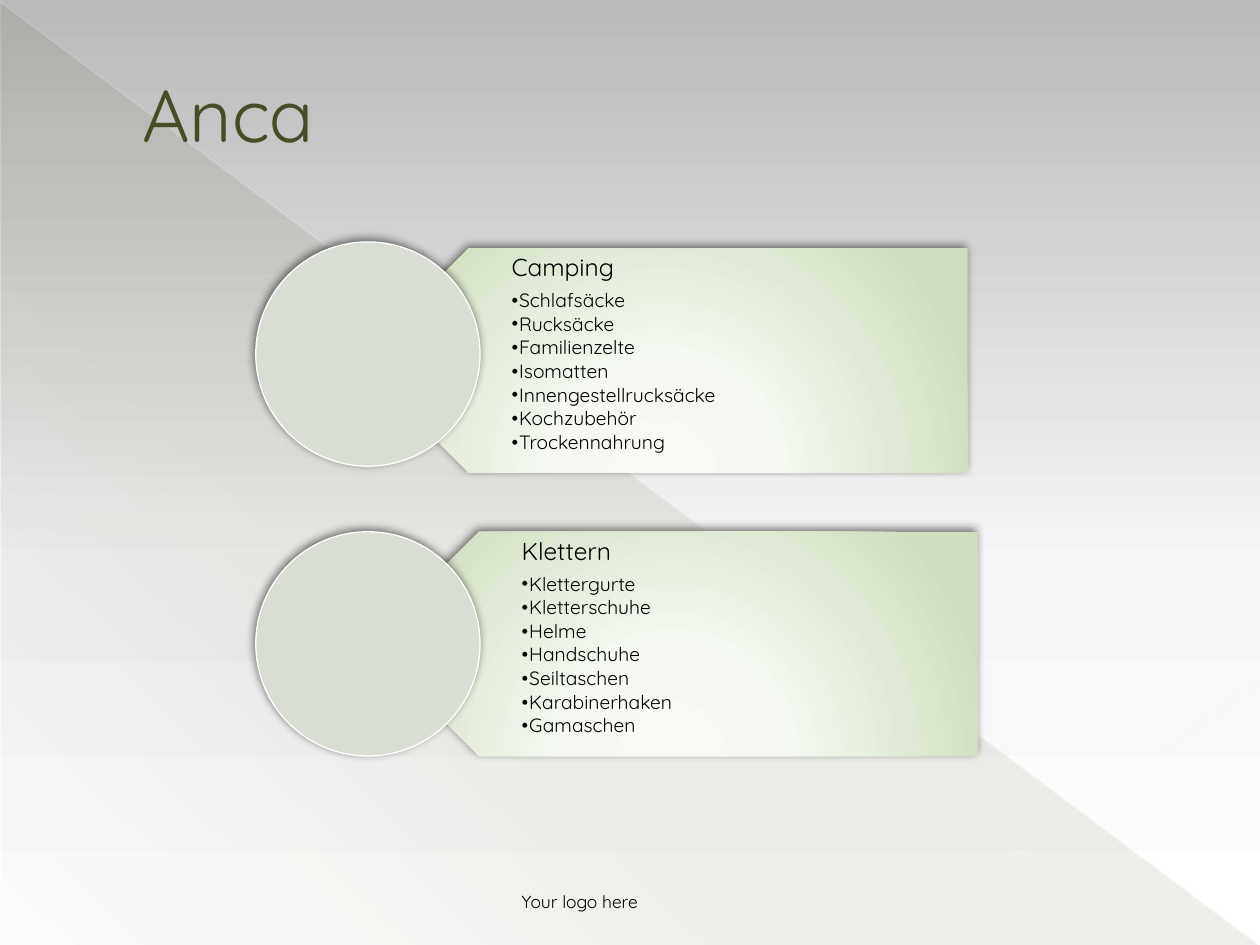
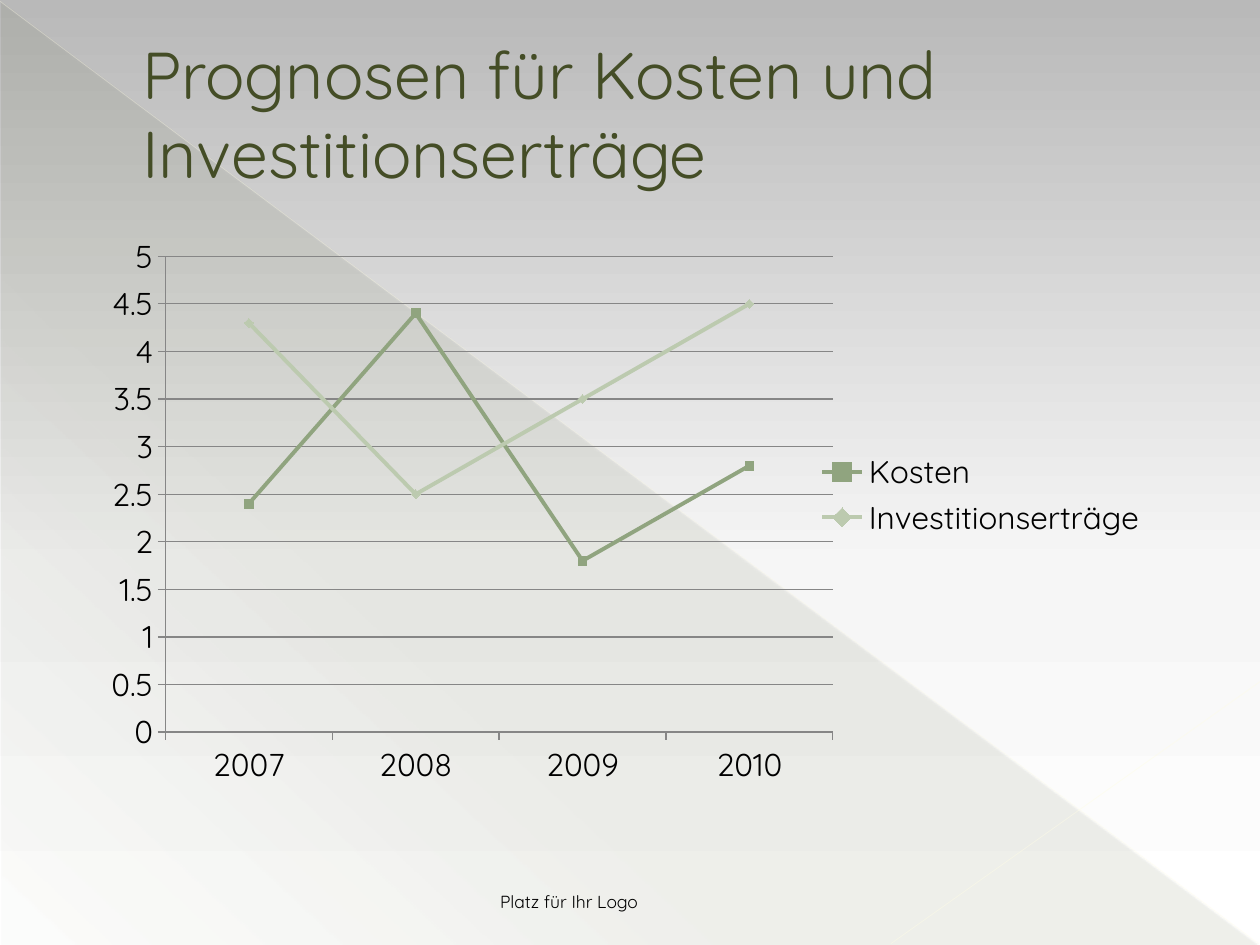
from collections import namedtuple
from dataclasses import dataclass

from lxml import etree
from pptx import Presentation
from pptx.chart.data import CategoryChartData as ChartData
from pptx.dml.color import RGBColor
from pptx.enum.chart import XL_CHART_TYPE as ChartType
from pptx.enum.chart import XL_LEGEND_POSITION as LegendPosition
from pptx.enum.chart import XL_MARKER_STYLE as Marker
from pptx.enum.chart import XL_TICK_MARK as Tick
from pptx.enum.shapes import MSO_CONNECTOR as Connector
from pptx.enum.shapes import MSO_SHAPE as Preset
from pptx.enum.text import MSO_ANCHOR as Anchor
from pptx.enum.text import PP_ALIGN as Align
from pptx.oxml import parse_xml
from pptx.oxml.ns import nsdecls, qn
from pptx.util import Inches, Pt

Box = namedtuple("Box", "left top width height")


@dataclass(frozen=True)
class Theme:
    font: str = "Quicksand"
    olive: str = "444D26"
    ink: str = "000000"
    white: str = "FFFFFF"
    disc: str = "D8DED2"
    grid: str = "868686"
    costs: str = "90A47F"
    returns: str = "BCCAAF"
    # Gradient stops: position in percent, colour, opacity in percent
    sky: tuple = ((0, "B9B9B9", 100), (60, "F6F6F6", 100), (100, "FFFFFF", 100))
    veil: tuple = ((0, "444D26", 10), (70, "444D26", 8), (100, "444D26", 1))
    plate: tuple = ((0, "F8FBF5", 100), (34, "F5F9F2", 100), (100, "D0DEBF", 100))
    title_size: float = 42
    long_title_size: float = 37.8
    footer_size: float = 10
    heading_size: float = 14
    item_size: float = 11
    chart_size: float = 18


THEME = Theme()
TITLE_BOX = Box(0.5, 0.29, 9, 1.21)
FOOTER_BOX = Box(0.5, 6.96, 4.66, 0.33)
DISC_SIZE = 1.78
PLATE_WIDTH = 4.85
TEXT_SHIFT = 0.44


# Shared helpers
def rgb(colour):
    return RGBColor.from_string(colour)


def inches(values):
    return [Inches(value) for value in values]


def apply(target, values):
    for name, value in values.items():
        setattr(target, name, value)


def style_font(font, size, colour):
    apply(font, {"name": THEME.font, "size": Pt(size)})
    font.color.rgb = rgb(colour)


def style_line(line, colour, width):
    line.color.rgb = rgb(colour)
    line.width = Pt(width)


def paint_gradient(fill, owner, stops, direction):
    """Swap a fresh solid fill in the owner element for a gradient."""
    fill.solid()
    solid = next(owner.iter(qn("a:solidFill")))
    stop_xml = "".join(
        f'<a:gs pos="{position * 1000}"><a:srgbClr val="{colour}">'
        f'<a:alpha val="{opacity * 1000}"/></a:srgbClr></a:gs>'
        for position, colour, opacity in stops)
    gradient = parse_xml(f'<a:gradFill {nsdecls("a")} rotWithShape="1">'
                         f"<a:gsLst>{stop_xml}</a:gsLst>{direction}</a:gradFill>")
    solid.getparent().replace(solid, gradient)


def linear(angle):
    return f'<a:lin ang="{angle * 60000}" scaled="0"/>'


def add_shape(page, preset, box):
    shape = page.shapes.add_shape(preset, *inches(box))
    shape.shadow.inherit = False
    shape.line.fill.background()
    return shape


def cast_shadow(shape):
    effects = next(shape.element.iter(qn("a:effectLst")))
    effects.append(parse_xml(
        f'<a:outerShdw {nsdecls("a")} blurRad="{Pt(5)}" dist="{Pt(2)}" '
        f'dir="{245 * 60000}" rotWithShape="0">'
        f'<a:srgbClr val="{THEME.ink}"><a:alpha val="50000"/></a:srgbClr>'
        "</a:outerShdw>"))


def add_frame(page, box, **values):
    frame = page.shapes.add_textbox(*inches(box)).text_frame
    apply(frame, {"word_wrap": True, **values})
    return frame


def write(para, text, size, colour, **values):
    para.text = text
    apply(para, values)
    for span in para.runs:
        style_font(span.font, size, colour)


def indent(para, left, first=0.0, bullet=None):
    properties = para._p.get_or_add_pPr()
    properties.set("marL", str(Inches(left)))
    properties.set("indent", str(Inches(first)))
    if bullet:
        etree.SubElement(properties, qn("a:buFont")).set("typeface", THEME.font)
        etree.SubElement(properties, qn("a:buChar")).set("char", bullet)


# Backdrop, title and footer
def add_hairline(page, start, end, colour, width, opacity):
    line = page.shapes.add_connector(Connector.STRAIGHT, *inches(start + end))
    style_line(line.line, colour, width)
    tint = next(line.element.iter(qn("a:srgbClr")))
    etree.SubElement(tint, qn("a:alpha")).set("val", str(opacity * 1000))
    etree.SubElement(line.element.spPr, qn("a:effectLst"))


def add_page(deck, title, title_size, footer):
    page = deck.slides.add_slide(deck.slide_layouts[6])
    triangle = add_shape(page, Preset.RIGHT_TRIANGLE, Box(0.01, 0.02, 9.98, 7.48))
    paint_gradient(triangle.fill, triangle.element, THEME.veil, linear(133))
    add_hairline(page, (0, 0.01), (9.99, 7.49), "FFFDE3", 0.39, 35)
    add_hairline(page, (10, 5.41), (7.07, 7.49), "FFFDE6", 0.47, 45)

    heading = add_frame(page, TITLE_BOX, vertical_anchor=Anchor.MIDDLE).paragraphs[0]
    write(heading, title, title_size, THEME.olive)
    indent(heading, 0.53)
    note = add_frame(page, FOOTER_BOX, vertical_anchor=Anchor.BOTTOM).paragraphs[0]
    write(note, footer, THEME.footer_size, THEME.ink, alignment=Align.RIGHT)
    return page


# Product group: arrow plate, list and disc
def add_group_panel(page, box, plate_shift, heading, items):
    shift_x, shift_y = plate_shift
    plate_box = Box(box.left + shift_x, box.top + shift_y, PLATE_WIDTH, box.height)
    plate = add_shape(page, Preset.PENTAGON, plate_box)
    plate.rotation = 180
    paint_gradient(plate.fill, plate.element, THEME.plate,
                   '<a:path path="circle"><a:fillToRect l="50000" t="155000" '
                   'r="50000" b="-55000"/></a:path>')
    cast_shadow(plate)

    text_box = plate_box._replace(left=plate_box.left + TEXT_SHIFT,
                                  width=PLATE_WIDTH - TEXT_SHIFT)
    frame = add_frame(page, text_box, margin_left=Inches(0.79), margin_top=Inches(0.06),
                      margin_right=Inches(0.11), margin_bottom=Inches(0.06))
    write(frame.paragraphs[0], heading, THEME.heading_size, THEME.ink,
          line_spacing=0.9, space_after=Pt(4.9))
    for item in items:
        para = frame.add_paragraph()
        write(para, item, THEME.item_size, THEME.ink,
              level=1, line_spacing=0.9, space_after=Pt(1.65))
        indent(para, 0.06, -0.06, "•")

    disc = add_shape(page, Preset.OVAL, box._replace(width=DISC_SIZE))
    disc.fill.solid()
    disc.fill.fore_color.rgb = rgb(THEME.disc)
    style_line(disc.line, THEME.white, 0.75)
    cast_shadow(disc)


# Forecast line chart
def make_layout(target, **places):
    place_xml = "".join(f'<c:{name} val="{value}"/>' for name, value in places.items())
    return parse_xml(
        f'<c:layout {nsdecls("c")}><c:manualLayout>{target}'
        f'<c:xMode val="edge"/><c:yMode val="edge"/>{place_xml}'
        "</c:manualLayout></c:layout>")


def place_parts(chart):
    area = next(chart.element.iter(qn("c:plotArea")))
    legend = next(chart.element.iter(qn("c:legend")))
    for part in (area, legend):
        for old in part.findall(qn("c:layout")):
            part.remove(old)
    area.insert(0, make_layout('<c:layoutTarget val="inner"/>',
                               x=0.058, y=0.033, w=0.636, h=0.757))
    legend.find(qn("c:legendPos")).addnext(make_layout("", x=0.674, y=0.334))


def add_forecast_chart(page, box, years, forecasts):
    data = ChartData()
    data.categories = years
    for name, values, _, _ in forecasts:
        data.add_series(name, values)
    chart = page.shapes.add_chart(ChartType.LINE_MARKERS, *inches(box), data).chart
    style_font(chart.font, THEME.chart_size, THEME.ink)
    apply(chart, {"has_title": False, "has_legend": True})
    apply(chart.legend, {"position": LegendPosition.RIGHT, "include_in_layout": False})
    chart.plots[0].vary_by_categories = False

    value_axis = chart.value_axis
    apply(value_axis, {"minimum_scale": 0, "maximum_scale": 5, "major_unit": 0.5,
                       "has_major_gridlines": True})
    style_line(value_axis.major_gridlines.format.line, THEME.grid, 0.75)
    for axis in (value_axis, chart.category_axis):
        axis.major_tick_mark = Tick.OUTSIDE
        style_line(axis.format.line, THEME.grid, 0.75)

    for series, (_, _, colour, marker) in zip(chart.plots[0].series, forecasts):
        series.smooth = False
        style_line(series.format.line, colour, 2.25)
        apply(series.marker, {"style": marker, "size": 5})
        series.marker.format.fill.solid()
        series.marker.format.fill.fore_color.rgb = rgb(colour)
        series.marker.format.line.fill.background()
    place_parts(chart)


# Slides
def build_products(deck):
    page = add_page(deck, "Anca", THEME.title_size, "Your logo here")
    panel_box = Box(2.03, 1.92, 5.73, DISC_SIZE)
    add_group_panel(page, panel_box, (0.8, 0.05), "Camping", (
        "Schlafsäcke", "Rucksäcke", "Familienzelte", "Isomatten",
        "Innengestellrucksäcke", "Kochzubehör", "Trockennahrung"))
    add_group_panel(page, panel_box._replace(top=4.22), (0.88, 0), "Klettern", (
        "Klettergurte", "Kletterschuhe", "Helme", "Handschuhe",
        "Seiltaschen", "Karabinerhaken", "Gamaschen"))


def build_forecast(deck):
    page = add_page(deck, "Prognosen für Kosten und\nInvestitionserträge",
                    THEME.long_title_size, "Platz für Ihr Logo")
    add_forecast_chart(page, Box(0.83, 1.87, 8.33, 4.99),
                       ("2007", "2008", "2009", "2010"), (
        ("Kosten", (2.4, 4.4, 1.8, 2.8), THEME.costs, Marker.SQUARE),
        ("Investitionserträge", (4.3, 2.5, 3.5, 4.5), THEME.returns, Marker.DIAMOND)))


def main():
    deck = Presentation()
    apply(deck, {"slide_width": Inches(10), "slide_height": Inches(7.5)})
    master = deck.slide_master
    paint_gradient(master.background.fill, master.element.cSld.bg, THEME.sky, linear(90))
    build_products(deck)
    build_forecast(deck)
    deck.save("out.pptx")


if __name__ == "__main__":
    main()
